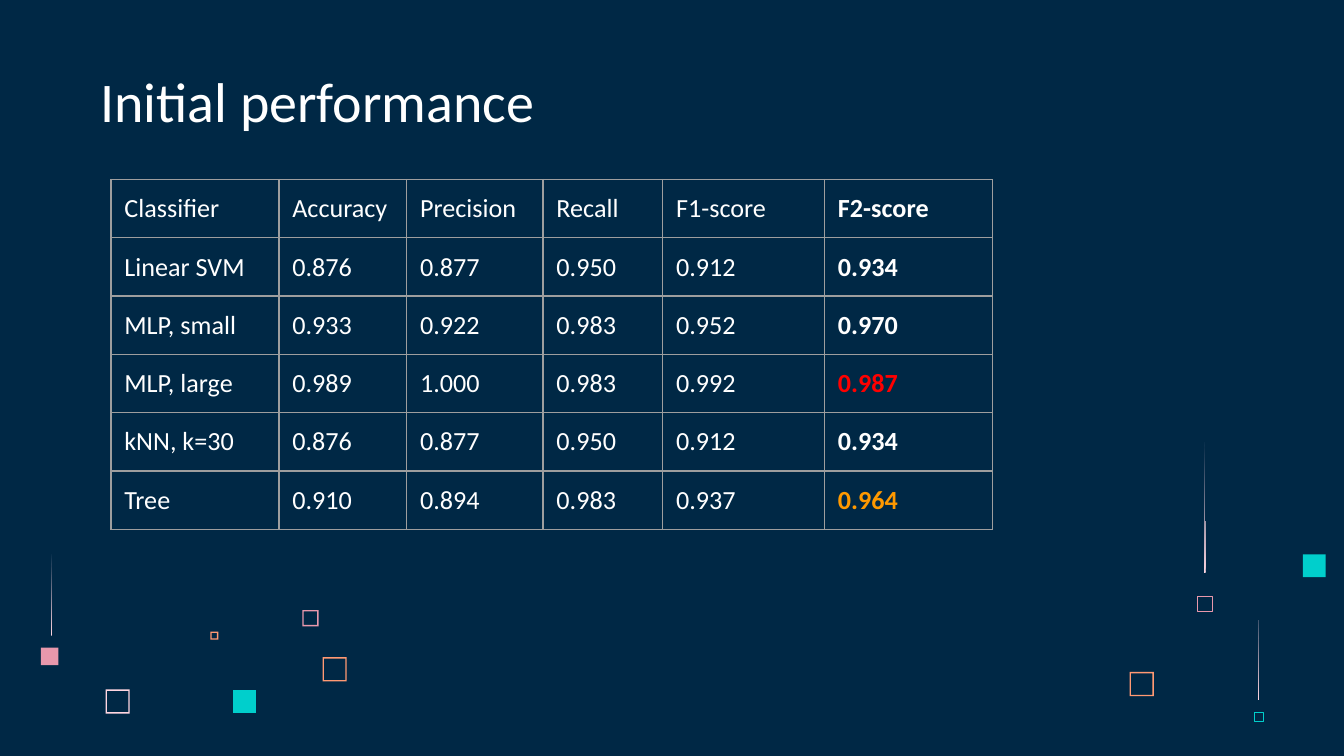
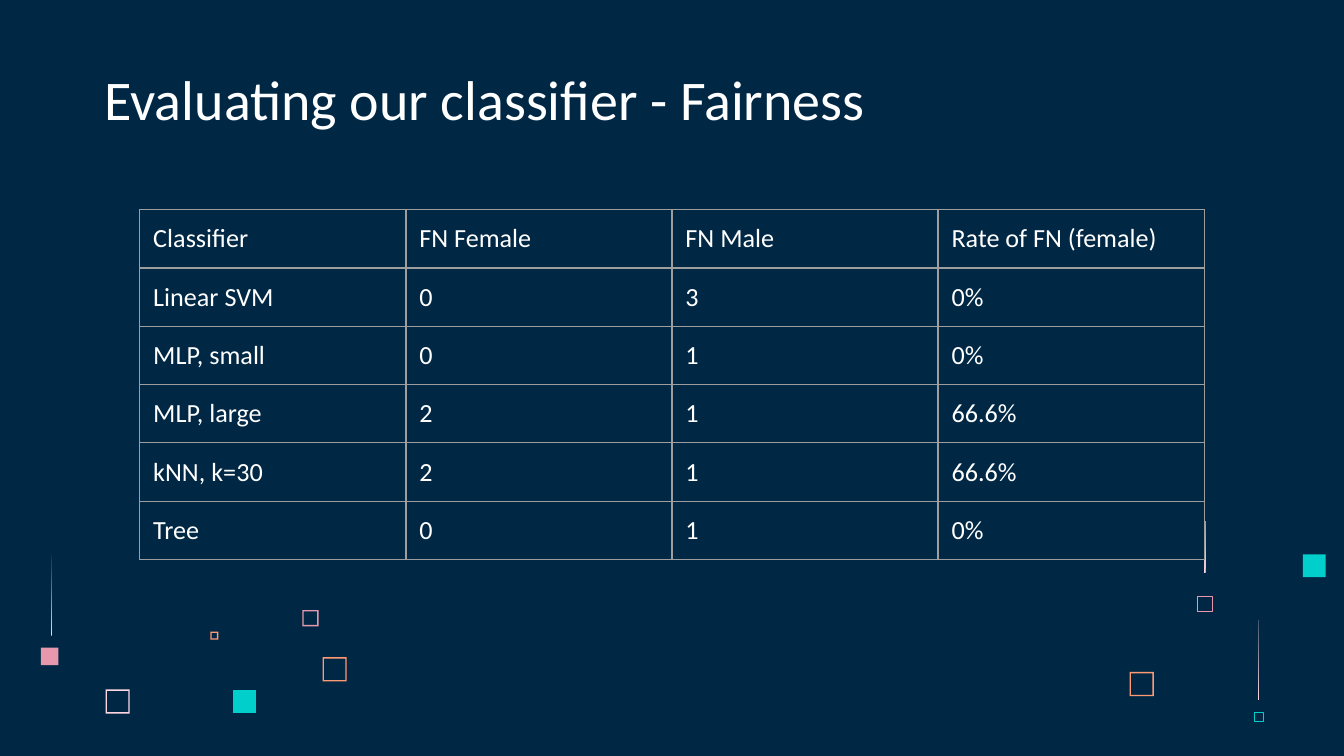
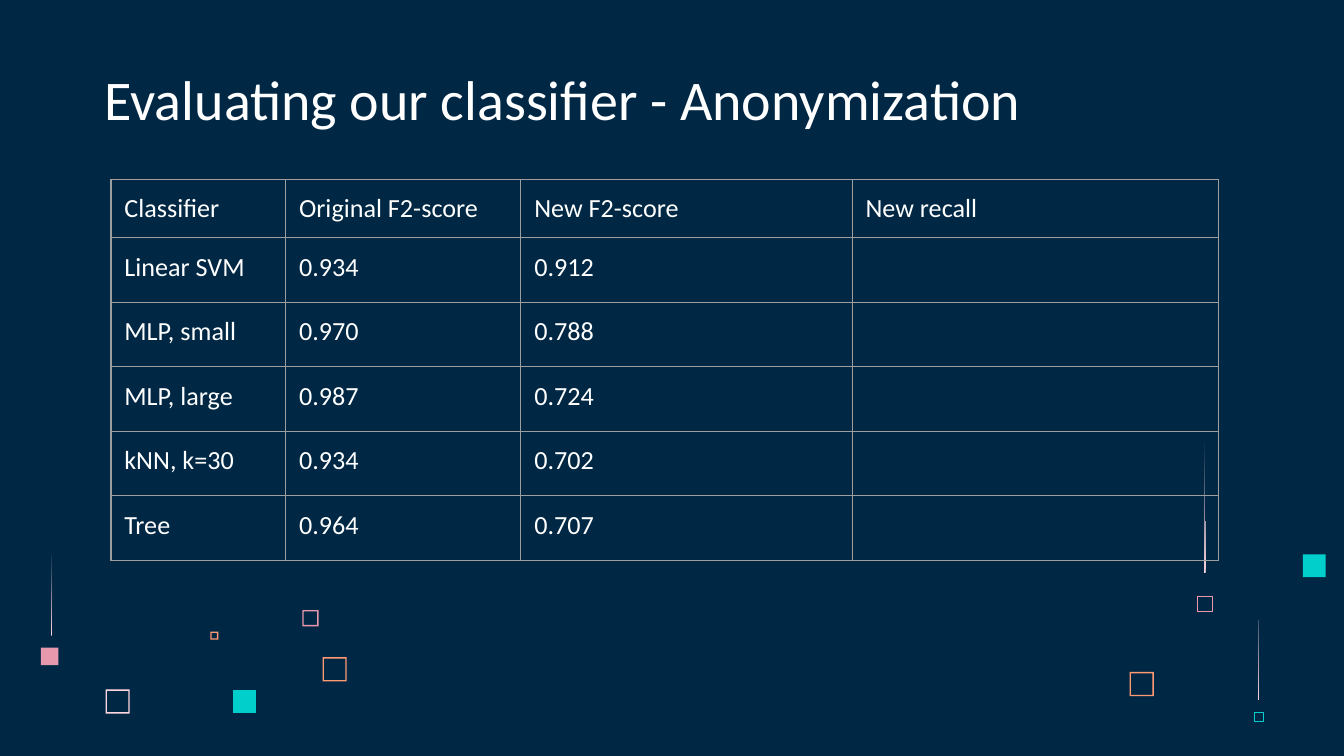
"""Build three slides of classifier results over a shared decorated background."""
from dataclasses import dataclass, field
from typing import Any, Optional

from lxml import etree
from pptx import Presentation
from pptx import util as u
from pptx.dml.color import RGBColor
from pptx.enum import shapes, text
from pptx.oxml import ns

PX = 4572
SLIDE_WIDTH, SLIDE_HEIGHT = 2000, 1125
INSET = 20
RING = 2
STREAK_WIDTH = 2
ROW_HEIGHT = 85

NAVY = RGBColor(0x00, 0x28, 0x45)
WHITE = RGBColor(0xFF, 0xFF, 0xFF)
BLUSH = RGBColor(0xFF, 0xD6, 0xE1)
PINK = RGBColor(0xE8, 0x98, 0xAC)
CORAL = RGBColor(0xFF, 0x99, 0x73)
TEAL = RGBColor(0x00, 0xCF, 0xCC)
GREY = RGBColor(0x9E, 0x9E, 0x9E)
RED = RGBColor(0xFF, 0x00, 0x00)
ORANGE = RGBColor(0xFF, 0x99, 0x00)

TITLE_FONT = {"name": "Calibri", "size": u.Pt(30), "bold": False}
CELL_FONT = {"name": "Calibri", "size": u.Pt(14), "bold": False}
INSETS = {f"margin_{side}": INSET * PX for side in ("left", "right", "top", "bottom")}
TITLE_FRAME = {"word_wrap": True, "vertical_anchor": text.MSO_ANCHOR.BOTTOM, **INSETS}
PLAIN_TABLE = {"first_row": False, "horz_banding": False}


@dataclass(frozen=True)
class Square:
    x: int
    y: int
    size: int
    color: RGBColor
    style: str


@dataclass(frozen=True)
class Streak:
    x: int
    y: int
    height: int
    tip: int = 0


@dataclass(frozen=True)
class Title:
    wording: str
    x: int = 136
    y: int = 90
    width: int = 1506
    height: int = 126


@dataclass(frozen=True)
class Results:
    x: int
    y: int
    columns: list[int]
    rows: list[list[str]]
    body_height: int = ROW_HEIGHT
    bold_column: Optional[int] = None
    highlights: dict[str, RGBColor] = field(default_factory=dict)


SQUARES = [
    Square(157, 1026, 36, BLUSH, "frame"),
    Square(450, 908, 24, PINK, "frame"),
    Square(313, 940, 12, CORAL, "frame"),
    Square(480, 978, 36, CORAL, "frame"),
    Square(347, 1027, 34, TEAL, "solid"),
    Square(1782, 887, 22, PINK, "outline"),
    Square(61, 964, 26, PINK, "solid"),
    Square(1867, 1060, 13, TEAL, "outline"),
    Square(1681, 1000, 36, CORAL, "frame"),
    Square(1939, 825, 34, TEAL, "solid"),
]
STREAKS = [
    Streak(1792, 658, 195),
    Streak(76, 824, 122),
    Streak(1872, 890, 152, tip=STREAK_WIDTH),
]

CLASSIFIERS = ["Linear SVM", "MLP, small", "MLP, large", "kNN, k=30", "Tree"]


def with_classifiers(header: list[str], scores: list[list[str]]) -> list[list[str]]:
    """Put the classifier names in front of their scores, under the header."""
    return [["Classifier", *header]] + [[name, *row] for name, row in zip(CLASSIFIERS, scores)]


SLIDES = [
    (
        Title("Initial performance", 130, 93, 1606),
        Results(
            165, 267, [250, 190, 203, 178, 241, 250],
            with_classifiers(
                ["Accuracy", "Precision", "Recall", "F1-score", "F2-score"],
                [
                    ["0.876", "0.877", "0.950", "0.912", "0.934"],
                    ["0.933", "0.922", "0.983", "0.952", "0.970"],
                    ["0.989", "1.000", "0.983", "0.992", "0.987"],
                    ["0.876", "0.877", "0.950", "0.912", "0.934"],
                    ["0.910", "0.894", "0.983", "0.937", "0.964"],
                ],
            ),
            bold_column=5,
            highlights={"0.987": RED, "0.964": ORANGE},
        ),
    ),
    (
        Title("Evaluating our classifier - Fairness"),
        Results(
            208, 312, [396] * 4,
            with_classifiers(
                ["FN Female", "FN Male", "Rate of FN (female)"],
                [
                    ["0", "3", "0%"],
                    ["0", "1", "0%"],
                    ["2", "1", "66.6%"],
                    ["2", "1", "66.6%"],
                    ["0", "1", "0%"],
                ],
            ),
        ),
    ),
    (
        Title("Evaluating our classifier - Anonymization"),
        Results(
            165, 267, [260, 350, 493, 545],
            with_classifiers(
                ["Original F2-score", "New F2-score", "New recall"],
                [
                    ["0.934", "0.912", ""],
                    ["0.970", "0.788", ""],
                    ["0.987", "0.724", ""],
                    ["0.934", "0.702", ""],
                    ["0.964", "0.707", ""],
                ],
            ),
            body_height=96,
        ),
    ),
]


def apply(target: Any, values: dict[str, Any]) -> None:
    """Set every named attribute on the target."""
    for name, value in values.items():
        setattr(target, name, value)


def write(paragraph: Any, wording: str, font: dict[str, Any], color: RGBColor) -> None:
    """Add one formatted run to a paragraph."""
    run = paragraph.add_run()
    run.text = wording
    apply(run.font, font)
    run.font.color.rgb = color


def draw_square(slide: Any, square: Square) -> None:
    """Draw a solid, outlined or framed square."""
    preset = shapes.MSO_SHAPE.FRAME if square.style == "frame" else shapes.MSO_SHAPE.RECTANGLE
    side = square.size * PX
    ornament = slide.shapes.add_shape(preset, square.x * PX, square.y * PX, side, side)
    ornament.shadow.inherit = False
    if square.style == "frame":
        ornament.adjustments[0] = RING / square.size
    if square.style == "outline":
        ornament.fill.background()
        ornament.line.color.rgb = square.color
        ornament.line.width = u.Pt(0.23)
    else:
        ornament.fill.solid()
        ornament.fill.fore_color.rgb = square.color
        ornament.line.fill.background()


def draw_streak(slide: Any, streak: Streak) -> None:
    """Draw a thin sliver that fades into the background towards its top."""
    foot = streak.y + streak.height
    outline = slide.shapes.build_freeform(streak.x + streak.tip, streak.y, scale=PX)
    outline.add_line_segments([(streak.x, foot), (streak.x + STREAK_WIDTH, foot)])
    sliver = outline.convert_to_shape()
    sliver.shadow.inherit = False
    sliver.line.fill.background()
    sliver.fill.gradient()
    sliver.fill.gradient_angle = 90
    for stop, color in zip(sliver.fill.gradient_stops, (BLUSH, NAVY)):
        stop.color.rgb = color


def draw_title(slide: Any, title: Title) -> None:
    """Draw the slide title."""
    box = slide.shapes.add_textbox(
        title.x * PX, title.y * PX, title.width * PX, title.height * PX
    )
    apply(box.text_frame, TITLE_FRAME)
    write(box.text_frame.paragraphs[0], title.wording, TITLE_FONT, WHITE)


def draw_borders(cell: Any) -> None:
    """Give a cell thin grey borders on all sides."""
    properties = cell._tc.get_or_add_tcPr()
    for side in ("lnL", "lnR", "lnT", "lnB"):
        border = etree.SubElement(properties, ns.qn(f"a:{side}"), w=str(u.Pt(0.75)))
        fill = etree.SubElement(border, ns.qn("a:solidFill"))
        etree.SubElement(fill, ns.qn("a:srgbClr"), val=str(GREY))


def draw_results(slide: Any, results: Results) -> None:
    """Draw a table of results."""
    heights = [ROW_HEIGHT] + [results.body_height] * len(CLASSIFIERS)
    table = slide.shapes.add_table(
        len(heights), len(results.columns), results.x * PX, results.y * PX,
        sum(results.columns) * PX, sum(heights) * PX,
    ).table
    apply(table, PLAIN_TABLE)
    for column, width in zip(table.columns, results.columns):
        column.width = width * PX
    for row, height, wordings in zip(table.rows, heights, results.rows):
        row.height = height * PX
        for index, (cell, wording) in enumerate(zip(row.cells, wordings)):
            draw_borders(cell)
            cell.fill.background()
            if not wording:
                continue
            apply(cell, INSETS)
            bold = index == results.bold_column
            color = results.highlights.get(wording, WHITE) if bold else WHITE
            write(cell.text_frame.paragraphs[0], wording, {**CELL_FONT, "bold": bold}, color)


def main() -> None:
    """Build and save the presentation."""
    deck = Presentation()
    apply(deck, {"slide_width": SLIDE_WIDTH * PX, "slide_height": SLIDE_HEIGHT * PX})
    backdrop = deck.slide_master.background.fill
    backdrop.solid()
    backdrop.fore_color.rgb = NAVY
    for title, results in SLIDES:
        slide = deck.slides.add_slide(deck.slide_layouts[6])
        for square in SQUARES:
            draw_square(slide, square)
        for streak in STREAKS:
            draw_streak(slide, streak)
        draw_title(slide, title)
        draw_results(slide, results)
    deck.save("out.pptx")


if __name__ == "__main__":
    main()
